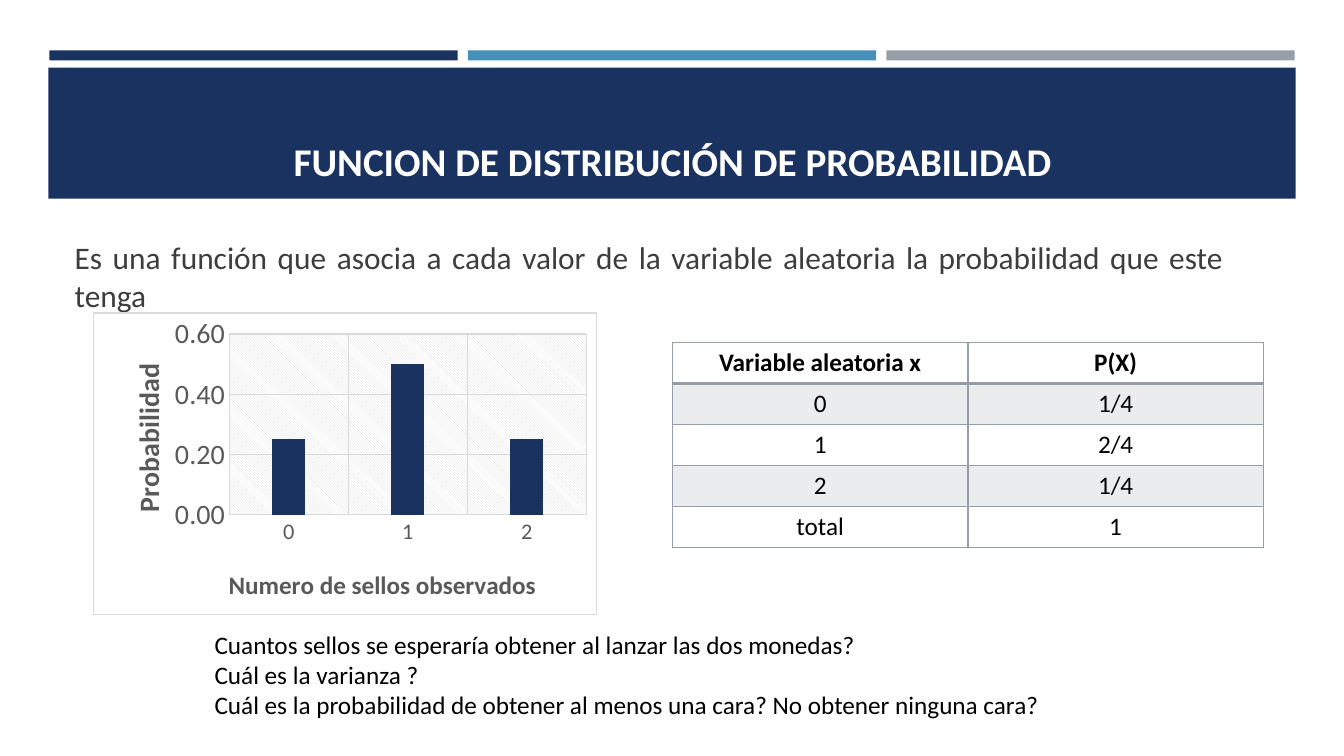
"""Build the slide on the probability distribution function."""
import pptx
import pptx.chart.data
import pptx.dml.color
import pptx.enum.chart
import pptx.enum.shapes
import pptx.enum.text
import pptx.oxml
import pptx.oxml.ns
import pptx.util
from pptx.util import Inches

FONT = "Calibri"
NAVY, BLUE, GREY = "1A3260", "4590B8", "969FA7"
BLACK, WHITE, PALE, DARK, AXIS, GRID = "000000", "FFFFFF", "EAECED", "3D3D3D", "595959", "D9D9D9"

TITLE = "FUNCION DE DISTRIBUCIÓN DE PROBABILIDAD"
DEFINITION = ("Es una función que asocia a cada valor de la variable aleatoria "
              "la probabilidad que este tenga")
QUESTIONS = [
    "Cuantos sellos se esperaría obtener al lanzar las dos monedas?",
    "Cuál es la varianza ?",
    "Cuál es la probabilidad de obtener al menos una cara? No obtener ninguna cara?",
]
ROWS = [("Variable aleatoria x", "P(X)"), ("0", "1/4"), ("1", "2/4"), ("2", "1/4"), ("total", "1")]
CATEGORIES, PROBABILITIES = ["0", "1", "2"], [0.25, 0.5, 0.25]
CATEGORY_TITLE, VALUE_TITLE = "Numero de sellos observados", "Probabilidad"

PARAGRAPH_ALIGN = pptx.enum.text.PP_ALIGN
ANCHOR = pptx.enum.text.MSO_ANCHOR


def rgb(value):
    return pptx.dml.color.RGBColor.from_string(value)


def parse_xml(tag, body, attributes=""):
    prefix = tag.split(":")[0]
    namespaces = pptx.oxml.ns.nsdecls(*dict.fromkeys([prefix, "a"]))
    return pptx.oxml.parse_xml(f"<{tag} {namespaces} {attributes}>{body}</{tag}>")


def solid(color):
    return f'<a:solidFill><a:srgbClr val="{color}"/></a:solidFill>'


def style_font(font, size, color, bold=False):
    font.name, font.size, font.bold = FONT, pptx.util.Pt(size), bold
    font.color.rgb = rgb(color)


def add_run(paragraph, text, size, color, bold=False):
    run = paragraph.add_run()
    run.text = text
    style_font(run.font, size, color, bold)


def place(shape, left, top, width, height):
    shape.left, shape.top = Inches(left), Inches(top)
    shape.width, shape.height = Inches(width), Inches(height)


def add_bars(slide):
    bars = [(0.49 + 4.15 * index, 0.5, 4.05, 0.1, color)
            for index, color in enumerate((NAVY, BLUE, GREY))]
    bars.append((0.48, 0.67, 12.37, 1.3, NAVY))
    for left, top, width, height, color in bars:
        bar = slide.shapes.add_shape(pptx.enum.shapes.MSO_SHAPE.RECTANGLE, Inches(left),
                                     Inches(top), Inches(width), Inches(height))
        bar.shadow.inherit = False
        bar.fill.solid()
        bar.fill.fore_color.rgb = rgb(color)
        bar.line.fill.background()
        slide.shapes.title.element.addprevious(bar.element)


def fill_placeholders(slide):
    title, body = slide.placeholders[0], slide.placeholders[1]
    place(title, 0.64, 0.77, 12.06, 1.11)
    place(body, 0.64, 2.38, 11.61, 0.71)
    for shape, anchor in ((title, ANCHOR.BOTTOM), (body, ANCHOR.MIDDLE)):
        shape.text_frame.auto_size = pptx.enum.text.MSO_AUTO_SIZE.NONE
        shape.text_frame.vertical_anchor = anchor
    heading = title.text_frame.paragraphs[0]
    heading.alignment = PARAGRAPH_ALIGN.CENTER
    add_run(heading, TITLE, 28, WHITE, True)
    definition = body.text_frame.paragraphs[0]
    definition.alignment = PARAGRAPH_ALIGN.JUSTIFY
    definition.space_before, definition.space_after = pptx.util.Pt(4.5), pptx.util.Pt(6)
    add_run(definition, DEFINITION, 22.4, DARK)
    properties = definition._p.get_or_add_pPr()
    properties.set("marL", "0")
    properties.set("indent", "0")
    properties.append(parse_xml("a:buNone", ""))


def add_probability_table(slide):
    table = slide.shapes.add_table(len(ROWS), 2, Inches(6.67), Inches(3.4),
                                   Inches(5.86), Inches(2.03)).table
    table.first_row = table.horz_banding = False
    for row_index, row in enumerate(ROWS):
        for column_index, text in enumerate(row):
            cell = table.cell(row_index, column_index)
            cell.fill.solid()
            cell.fill.fore_color.rgb = rgb(PALE if row_index % 2 else WHITE)
            paragraph = cell.text_frame.paragraphs[0]
            paragraph.alignment = PARAGRAPH_ALIGN.CENTER
            add_run(paragraph, text, 18, BLACK, row_index == 0)
            for position, side in enumerate("LRTB"):
                heavy = (row_index, side) in ((0, "B"), (1, "T"))
                width = pptx.util.Pt(2 if heavy else 1)
                border = parse_xml(f"a:ln{side}", solid(GREY), f'w="{width}"')
                cell._tc.get_or_add_tcPr().insert(position, border)


def set_layout(element, position, target, **fractions):
    for old_layout in element.findall(pptx.oxml.ns.qn("c:layout")):
        element.remove(old_layout)
    body = f'<c:layoutTarget val="{target}"/>' if target else ""
    body += '<c:xMode val="edge"/><c:yMode val="edge"/>'
    body += "".join(f'<c:{name} val="{value}"/>' for name, value in fractions.items())
    element.insert(position, parse_xml("c:layout", f"<c:manualLayout>{body}</c:manualLayout>"))


def style_axis(axis, title, title_size, label_size, x, y):
    axis.major_tick_mark = axis.minor_tick_mark = pptx.enum.chart.XL_TICK_MARK.NONE
    style_font(axis.tick_labels.font, label_size, AXIS)
    axis.has_major_gridlines = True
    for line in (axis.format.line, axis.major_gridlines.format.line):
        line.color.rgb, line.width = rgb(GRID), pptx.util.Pt(0.75)
    add_run(axis.axis_title.text_frame.paragraphs[0], title, title_size, AXIS, True)
    set_layout(axis.axis_title.element, 1, None, x=x, y=y)


def add_probability_chart(slide):
    data = pptx.chart.data.CategoryChartData()
    data.categories = CATEGORIES
    data.add_series("Series 1", PROBABILITIES)
    chart = slide.shapes.add_chart(pptx.enum.chart.XL_CHART_TYPE.COLUMN_CLUSTERED, Inches(0.92),
                                   Inches(3.1), Inches(5), Inches(3), data).chart
    chart.has_legend = chart.has_title = False
    style_font(chart.font, 10, BLACK)
    plot = chart.plots[0]
    plot.gap_width, plot.overlap, plot.vary_by_categories = 267, -43, False
    plot.series[0].format.fill.solid()
    plot.series[0].format.fill.fore_color.rgb = rgb(NAVY)
    style_axis(chart.category_axis, CATEGORY_TITLE, 18, 16, 0.26, 0.83)
    axis = chart.value_axis
    style_axis(axis, VALUE_TITLE, 20, 20, 0.06, 0.15)
    axis.format.line.fill.background()
    axis.minimum_scale, axis.maximum_scale, axis.major_unit = 0, 0.6, 0.2
    axis.tick_labels.number_format = "0.00"
    axis.tick_labels.number_format_is_linked = False

    chart_element = chart.element.find(pptx.oxml.ns.qn("c:chart"))
    plot_area = chart_element.find(pptx.oxml.ns.qn("c:plotArea"))
    set_layout(plot_area, 0, "inner", x=0.27, y=0.07, w=0.71, h=0.6)
    pattern = (f'<a:pattFill prst="ltDnDiag"><a:fgClr><a:srgbClr val="{GRID}"/></a:fgClr>'
               f'<a:bgClr><a:srgbClr val="{WHITE}"/></a:bgClr></a:pattFill>')
    plot_area.append(parse_xml("c:spPr", pattern + "<a:ln><a:noFill/></a:ln>"))
    border = f'<a:ln w="{pptx.util.Pt(0.75)}">{solid(GRID)}</a:ln>'
    chart_element.addnext(parse_xml("c:spPr", solid(WHITE) + border))


def add_questions(slide):
    box = slide.shapes.add_textbox(Inches(2.03), Inches(6.19), Inches(9.26), Inches(1.31))
    frame = box.text_frame
    frame.word_wrap = True
    for index, question in enumerate(QUESTIONS):
        paragraph = frame.add_paragraph() if index else frame.paragraphs[0]
        add_run(paragraph, question, 18, BLACK)


def main():
    presentation = pptx.Presentation()
    presentation.slide_width, presentation.slide_height = Inches(13.33), Inches(7.5)
    slide = presentation.slides.add_slide(presentation.slide_layouts[1])
    add_bars(slide)
    fill_placeholders(slide)
    add_probability_table(slide)
    add_probability_chart(slide)
    add_questions(slide)
    presentation.save("out.pptx")


if __name__ == "__main__":
    main()
